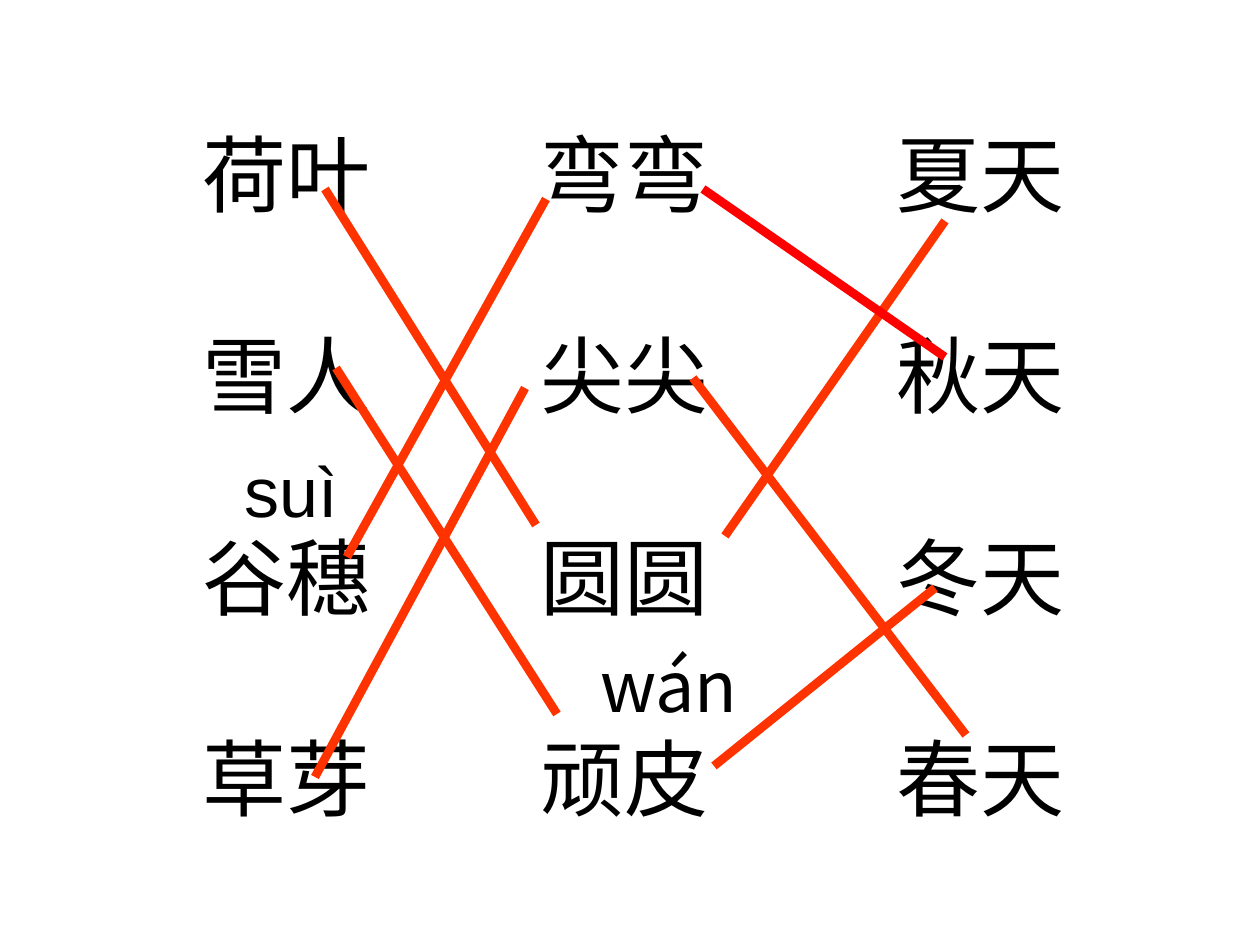
from lxml import etree
from pptx import Presentation
from pptx import util as u
from pptx.dml.color import RGBColor
from pptx.enum import shapes, text
from pptx.oxml.ns import qn

PX = 914400 // 126
COLORS = {"ink": "000000", "match": "FF3300", "strong": "FF0000"}
WORD_FONT, PINYIN_FONT = "Arial", "Noto Sans CJK SC"
WORD_SIZE, PINYIN_SIZE = 48, 40
LEADING = 1.2
COLUMN_TABS = (338, 694)
PINYIN_TAB = 398

# words, font, size, tab stops, empty lines above
ROWS = [
    (("荷叶", "弯弯", "夏天"), WORD_FONT, WORD_SIZE, COLUMN_TABS, 0),
    (("雪人", "尖尖", "秋天"), WORD_FONT, WORD_SIZE, COLUMN_TABS, 1),
    (("谷穗", "圆圆", "冬天"), WORD_FONT, WORD_SIZE, COLUMN_TABS, 1),
    (("", "wán"), PINYIN_FONT, PINYIN_SIZE, (PINYIN_TAB,), 0),
    (("草芽", "顽皮", "春天"), WORD_FONT, WORD_SIZE, COLUMN_TABS, 0),
]

# start, end, colour
MATCHES = [
    ((325, 189), (536, 525), "match"),
    ((725, 536), (945, 221), "match"),
    ((336, 368), (557, 714), "match"),
    ((714, 766), (935, 588), "match"),
    ((347, 557), (546, 199), "match"),
    ((703, 189), (945, 357), "strong"),
    ((315, 777), (525, 388), "match"),
    ((693, 378), (966, 735), "match"),
]


def color(name):
    return RGBColor.from_string(COLORS[name])


def add_frame(slide, left, top, width, height):
    frame = slide.shapes.add_textbox(
        *(n * PX for n in (left, top, width, height))).text_frame
    frame.word_wrap = True
    frame.margin_right = 0
    return frame


def add_run(paragraph, words, font, size):
    run = paragraph.add_run()
    run.text = words
    run.font.name = font
    run.font.size = u.Pt(size)
    run.font.color.rgb = color("ink")


def set_tabs(paragraph, stops):
    tabs = etree.SubElement(paragraph._p.get_or_add_pPr(), qn("a:tabLst"))
    for stop in stops:
        etree.SubElement(tabs, qn("a:tab"), pos=str(stop * PX), algn="l")


def add_word_grid(slide):
    frame = add_frame(slide, 190, 116, 887, 718)
    line = u.Pt(WORD_SIZE * LEADING)
    for i, (words, font, size, stops, gap) in enumerate(ROWS):
        row = frame.paragraphs[0] if i == 0 else frame.add_paragraph()
        set_tabs(row, stops)
        row.line_spacing = line
        row.space_before = line * gap
        add_run(row, "\t".join(words), font, size)


def add_match(slide, start, end, shade):
    match = slide.shapes.add_connector(
        shapes.MSO_CONNECTOR.STRAIGHT, *(n * PX for n in start + end))
    match.line.color.rgb = color(shade)
    match.line.width = u.Pt(5)
    etree.SubElement(match._element.spPr, qn("a:effectLst"))


def add_pinyin(slide):
    frame = add_frame(slide, 232, 441, 118, 97)
    frame.margin_left = 0
    pinyin = frame.paragraphs[0]
    pinyin.alignment = text.PP_ALIGN.CENTER
    pinyin.line_spacing = u.Pt(PINYIN_SIZE * LEADING)
    add_run(pinyin, "suì", WORD_FONT, PINYIN_SIZE)


def main():
    deck = Presentation()
    deck.slide_width, deck.slide_height = 1260 * PX, 945 * PX
    slide = deck.slides.add_slide(deck.slide_layouts[6])
    add_word_grid(slide)
    for start, end, shade in MATCHES:
        add_match(slide, start, end, shade)
    add_pinyin(slide)
    deck.save("out.pptx")


if __name__ == "__main__":
    main()
